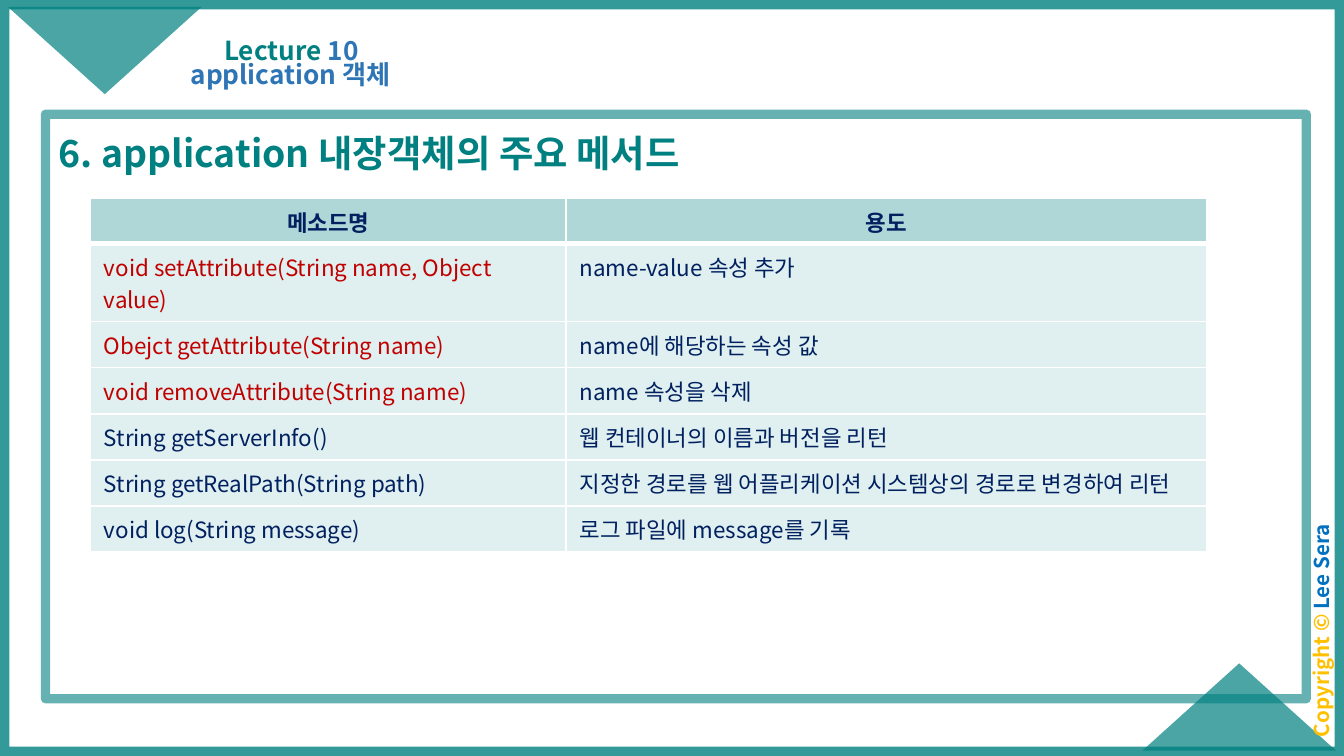
import pptx
import pptx.util
import pptx.oxml
import pptx.oxml.ns
import pptx.dml.color
import pptx.enum.text
import pptx.enum.shapes
import lxml.etree

Cm, Pt = pptx.util.Cm, pptx.util.Pt
qn = pptx.oxml.ns.qn
Kind = pptx.enum.shapes.MSO_SHAPE
Align = pptx.enum.text.PP_ALIGN
Anchor = pptx.enum.text.MSO_ANCHOR

HUES = {"teal": "008080", "blue": "2E75B6", "sky": "0070C0", "gold": "FFC000",
        "navy": "002060", "red": "C00000", "white": "FFFFFF"}


class Deck:
    font = "Noto Sans CJK KR"

    def __init__(self, wide, high):
        self.prs = pptx.Presentation()
        self.prs.slide_width, self.prs.slide_height = Cm(wide), Cm(high)
        self.slide = self.prs.slides.add_slide(self.prs.slide_layouts[0])

    def paint(self, fill, hue, alpha=100):
        fill.solid()
        fill.fore_color.rgb = pptx.dml.color.RGBColor.from_string(HUES[hue])
        if alpha < 100:
            tone = next(fill._xPr.iter(qn("a:srgbClr")))
            lxml.etree.SubElement(tone, qn("a:alpha"), val=str(alpha * 1000))

    def words(self, frame, parts, size, bold=True, align=Align.LEFT, gap=0, lead=1.0):
        """Fill one paragraph with (text, hue) parts."""
        frame.word_wrap = True
        para = frame.paragraphs[0]
        para.alignment, para.line_spacing = align, lead
        para.space_before = Pt(gap)
        for text, hue in parts:
            run = para.add_run()
            run.text = text
            run.font.name, run.font.size, run.font.bold = self.font, Pt(size), bold
            self.paint(run.font.fill, hue)
            east = lxml.etree.SubElement(run.font._element, qn("a:ea"))
            east.set("typeface", self.font)

    def inset(self, frame):
        frame.margin_left = frame.margin_right = Cm(0.19)
        frame.margin_top = frame.margin_bottom = Cm(0.1)

    def shape(self, kind, box, fill=None, line=None, turn=0):
        item = self.slide.shapes.add_shape(kind, *map(Cm, box))
        item.shadow.inherit = False
        item.rotation = turn
        if fill:
            self.paint(item.fill, *fill)
        else:
            item.fill.background()
        if line:
            hue, alpha, width = line
            item.line.width = Pt(width)
            self.paint(item.line.fill, hue, alpha)
        else:
            item.line.fill.background()
        return item

    def holder(self, index, box, parts, size, anchor, gap=0):
        item = self.slide.placeholders[index]
        item.left, item.top, item.width, item.height = map(Cm, box)
        frame = item.text_frame
        self.inset(frame)
        frame.auto_size = pptx.enum.text.MSO_AUTO_SIZE.NONE
        frame.vertical_anchor = anchor
        self.words(frame, parts, size, align=Align.CENTER, gap=gap, lead=0.9)

    def label(self, box, parts, size, turn, gap):
        item = self.slide.shapes.add_textbox(*map(Cm, box))
        item.rotation = turn
        self.inset(item.text_frame)
        self.words(item.text_frame, parts, size, align=Align.CENTER, gap=gap, lead=0.9)

    def edge(self, cell, widths):
        props = cell._tc.get_or_add_tcPr()
        for spot, (side, width) in enumerate(zip("LRTB", widths)):
            line = pptx.oxml.parse_xml(
                f'<a:ln{side} {pptx.oxml.ns.nsdecls("a")} w="{Pt(width)}"><a:solidFill>'
                f'<a:srgbClr val="{HUES["white"]}"/></a:solidFill></a:ln{side}>')
            props.insert(spot, line)

    def table(self, box, cols, highs, rows, marked):
        grid = self.slide.shapes.add_table(len(rows), len(cols), *map(Cm, box)).table
        for col, width in zip(grid.columns, cols):
            col.width = Cm(width)
        for r, (row, high) in enumerate(zip(rows, highs)):
            grid.rows[r].height = Cm(high)
            head = r == 0
            for c, text in enumerate(row):
                cell = grid.cell(r, c)
                hue = "red" if c == 0 and r in marked else "navy"
                self.words(cell.text_frame, [(text, hue)], 12, bold=head,
                           align=Align.CENTER if head else Align.LEFT)
                self.paint(cell.fill, "teal", 31 if head else 12)
                self.edge(cell, (1, 1, 3 if r == 1 else 1, 3 if head else 1))


deck = Deck(25.4, 14.29)

# Framed panel with the heading
panel = deck.shape(Kind.RECTANGLE, (0.86, 2.16, 23.83, 11.05), line=("teal", 60, 5))
panel.text_frame.vertical_anchor = Anchor.TOP
panel.text_frame.margin_top = Cm(0.3)
deck.words(panel.text_frame, [("6. application 내장객체의 주요 메서드", "teal")], 20)

# Slide border and corner triangles
deck.shape(Kind.RECTANGLE, (0, 0, 25.4, 14.29), line=("teal", 80, 10))
for left, top, turn in ((21.59, 12.54, 0), (0.15, 0.13, 180)):
    deck.shape(Kind.ISOSCELES_TRIANGLE, (left, top, 3.66, 1.65),
               fill=("teal", 70), turn=turn)

# Copyright along the right edge
deck.label((22.66, 11.6, 4.72, 0.64),
           [("Copyright © ", "gold"), ("Lee Sera", "sky")], 11, 270, 10)

# Lecture title
deck.holder(0, (3.56, 0.15, 3.89, 1.2),
            [("Lecture ", "teal"), ("10", "blue")], 14, Anchor.BOTTOM)
deck.holder(1, (2.79, 1.07, 5.41, 0.86),
            [("application 객체", "blue")], 14, Anchor.TOP, 7.5)

# Method table
rows = [
    ("메소드명", "용도"),
    ("void setAttribute(String name, Object value)", "name-value 속성 추가"),
    ("Obejct getAttribute(String name)", "name에 해당하는 속성 값"),
    ("void removeAttribute(String name)", "name 속성을 삭제"),
    ("String getServerInfo()", "웹 컨테이너의 이름과 버전을 리턴"),
    ("String getRealPath(String path)",
     "지정한 경로를 웹 어플리케이션 시스템상의 경로로 변경하여 리턴"),
    ("void log(String message)", "로그 파일에 message를 기록"),
]
deck.table((1.71, 3.75, 21.1, 6.67), (8.99, 12.11), [0.85, 1.48] + [0.87] * 5,
           rows, marked=(1, 2, 3))

deck.prs.save("out.pptx")
